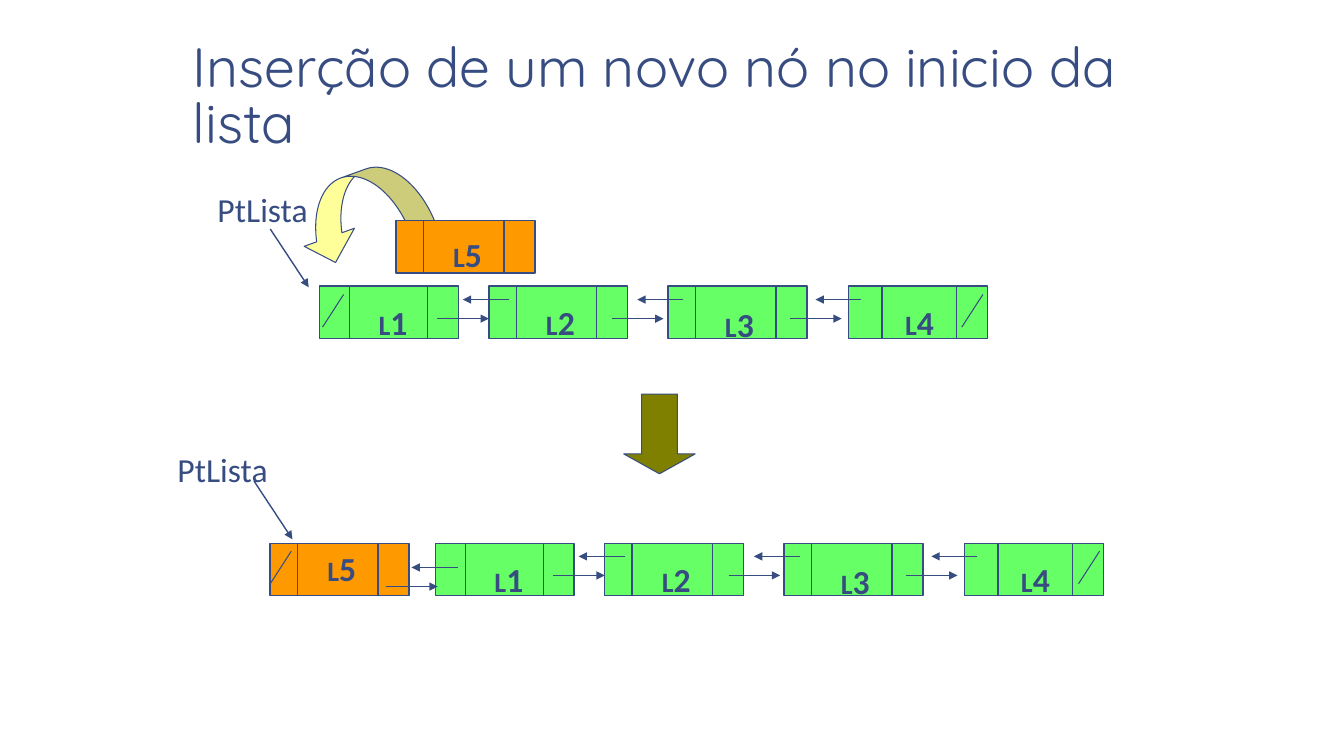
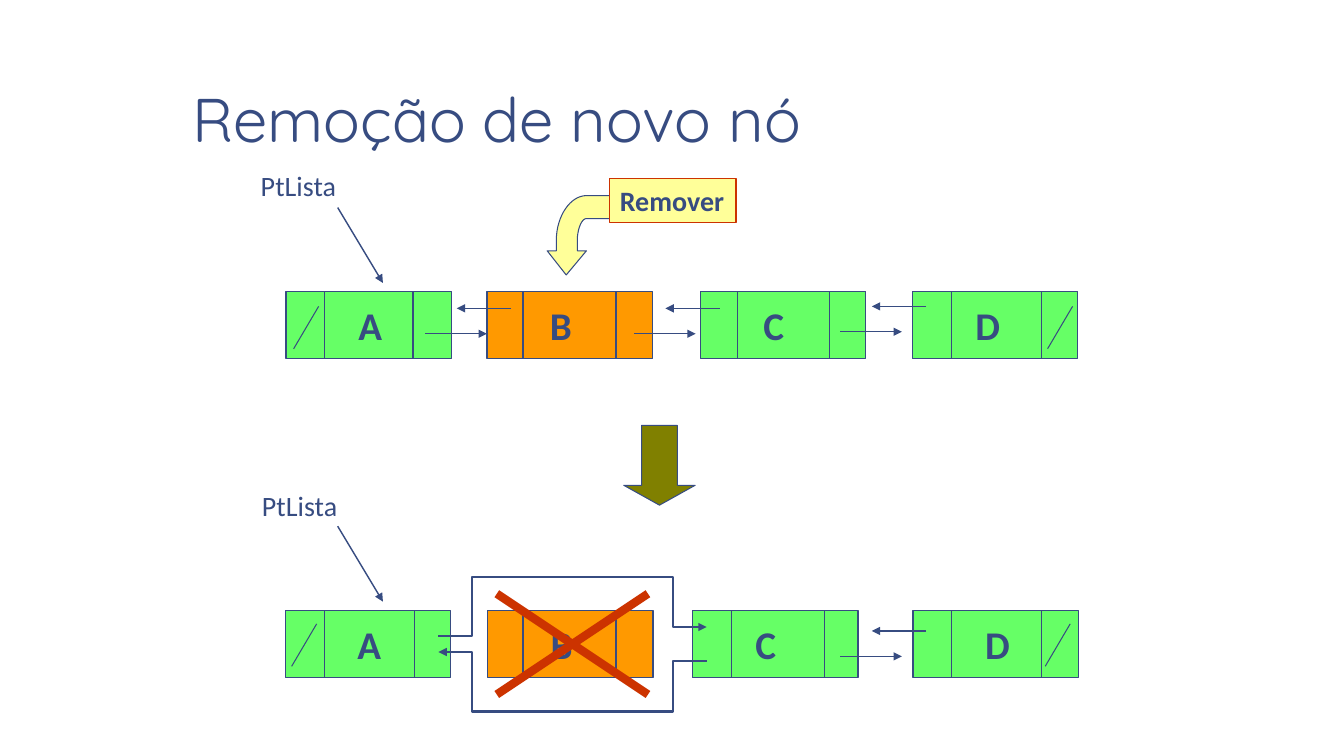
"""Draw two slides on inserting and removing nodes in a doubly linked list."""
from dataclasses import dataclass
from typing import Any, NamedTuple

from lxml import etree
from pptx import Presentation
from pptx.dml.color import RGBColor
from pptx.enum.shapes import MSO_CONNECTOR, MSO_SHAPE
from pptx.enum.text import MSO_ANCHOR, MSO_AUTO_SIZE
from pptx.oxml.ns import qn
from pptx.slide import Slide
from pptx.util import Cm, Pt

RECT = MSO_SHAPE.RECTANGLE
DOWN_ARROW = MSO_SHAPE.DOWN_ARROW
CURVED_ARROW = MSO_SHAPE.CURVED_LEFT_ARROW
STRAIGHT = MSO_CONNECTOR.STRAIGHT
TOP, MIDDLE, BOTTOM = MSO_ANCHOR.TOP, MSO_ANCHOR.MIDDLE, MSO_ANCHOR.BOTTOM
GROW = MSO_AUTO_SIZE.SHAPE_TO_FIT_TEXT

Point = tuple[float, float]


@dataclass(frozen=True)
class Theme:
    ink: RGBColor = RGBColor(0x37, 0x4C, 0x81)
    node: RGBColor = RGBColor(0x66, 0xFF, 0x66)
    changed: RGBColor = RGBColor(0xFF, 0x99, 0x00)
    step: RGBColor = RGBColor(0x80, 0x80, 0x00)
    note: RGBColor = RGBColor(0xFF, 0xFF, 0x99)
    alert: RGBColor = RGBColor(0xCC, 0x33, 0x00)
    title_font: str = "Quicksand"
    body_font: str = "Calibri"
    letter: float = 20
    digit: float = 24
    node_label: float = 28
    remark: float = 20
    thin: float = 0.75
    line: float = 1
    bypass: float = 1.5
    cross: float = 6


T = Theme()


class Run(NamedTuple):
    text: str
    size: float
    bold: bool = False
    font: str = T.body_font


class Scale(NamedTuple):
    w: float
    h: float
    next_len: float
    prev_from: float
    prev_to: float
    rise: float
    slash_w: float
    slash_h: float
    pointer_w: float
    pointer_h: float
    pointer_label: Point
    pointer_size: float


class Node(NamedTuple):
    x: float
    y: float
    label: str
    left: float
    right: float
    dx: float
    dy: float = 0
    fill: RGBColor = T.node


SMALL = Scale(3.5, 1.32, 1.3, 1.8, 0.64, 0.48, 0.53, 0.82, 0.97, 1.47, (2.82, 1.3), 24)
LARGE = Scale(4.17, 1.69, 1.55, 2.16, 0.79, 0.64, 0.63, 1.07, 1.14, 1.9, (2.44, 1.12), 20)


def add_arrowhead(s: Any, end: str) -> None:
    etree.SubElement(s.element.spPr.find(qn("a:ln")), qn(f"a:{end}"), type="triangle")


def add_line(sl: Slide, start: Point, end: Point, width: float = T.line,
             color: RGBColor = T.ink, arrow: bool = False) -> None:
    s = sl.shapes.add_connector(STRAIGHT, *(Cm(v) for v in (*start, *end)))
    s.line.color.rgb = color
    s.line.width = Pt(width)
    if arrow:
        add_arrowhead(s, "tailEnd")
    etree.SubElement(s.element.spPr, qn("a:effectLst"))


def paint(s: Any, fill: RGBColor | None, line: RGBColor = T.ink, width: float = T.thin) -> None:
    s.shadow.inherit = False
    if fill is None:
        s.fill.background()
    else:
        s.fill.solid()
        s.fill.fore_color.rgb = fill
    s.line.color.rgb = line
    s.line.width = Pt(width)


def add_shape(sl: Slide, kind: Any, box: tuple[float, float, float, float], fill: RGBColor,
              line: RGBColor = T.ink, width: float = T.thin) -> Any:
    s = sl.shapes.add_shape(kind, *(Cm(v) for v in box))
    paint(s, fill, line, width)
    return s


def write(s: Any, runs: list[Run], **fmt: Any) -> None:
    tf = s.text_frame
    for name, value in fmt.items():
        setattr(tf, name, value)
    p = tf.paragraphs[0]
    p.alignment = 1
    for run in runs:
        r = p.add_run()
        r.text = run.text
        r.font.color.rgb = T.ink
        values = {"size": Pt(run.size), "bold": run.bold, "name": run.font}
        for name, value in values.items():
            setattr(r.font, name, value)


def add_text(sl: Slide, box: tuple[float, float, float, float], runs: list[Run], **fmt: Any) -> Any:
    s = sl.shapes.add_textbox(*(Cm(v) for v in box))
    write(s, runs, **fmt)
    return s


def add_title(sl: Slide, text: str, size: float) -> None:
    side, edge = Cm(0.33), Cm(0.18)
    s = add_text(sl, (4.52, 0.2, 25, 3.89), [Run(text, size, font=T.title_font)],
                 word_wrap=True, vertical_anchor=BOTTOM, margin_left=side,
                 margin_right=side, margin_top=edge, margin_bottom=edge)
    s.text_frame.paragraphs[0].line_spacing = 0.85


def add_node(sl: Slide, n: Node, sc: Scale) -> None:
    s = add_shape(sl, RECT, (n.x, n.y, sc.w, sc.h), n.fill, width=T.line)
    for x in (n.x + n.left, n.x + n.right):
        add_line(sl, (x, n.y), (x, n.y + sc.h))
    if len(n.label) == 1:
        write(s, [Run(n.label, T.node_label, True)], word_wrap=True,
              vertical_anchor=MIDDLE, margin_left=Cm(n.dx))
    else:
        runs = [Run(n.label[0], T.letter, True), Run(n.label[1:], T.digit, True)]
        add_text(sl, (n.x + n.dx, n.y + n.dy, 1.24, 1.27), runs,
                 word_wrap=False, vertical_anchor=TOP, auto_size=GROW)


def add_link(sl: Slide, x: float, y: float, sc: Scale) -> None:
    add_line(sl, (x, y), (x + sc.next_len, y), arrow=True)
    back = y - sc.rise
    add_line(sl, (x + sc.prev_from, back), (x + sc.prev_to, back), arrow=True)


def add_list(sl: Slide, sc: Scale, nodes: list[Node], links: list[Point],
             slashes: list[Point]) -> None:
    for n in nodes:
        add_node(sl, n, sc)
    for x, y in links:
        add_link(sl, x, y, sc)
    for x, y in slashes:
        add_line(sl, (x, y), (x - sc.slash_w, y + sc.slash_h), T.thin)


def add_pointer(sl: Slide, label: Point, start: Point, sc: Scale) -> None:
    add_text(sl, (*label, *sc.pointer_label), [Run("PtLista", sc.pointer_size)],
             word_wrap=False, vertical_anchor=MIDDLE, auto_size=GROW)
    add_line(sl, start, (start[0] + sc.pointer_w, start[1] + sc.pointer_h), arrow=True)


def add_step(sl: Slide, y: float) -> None:
    s = add_shape(sl, DOWN_ARROW, (15.72, y, 1.8, 2.01), T.step)
    s.adjustments[0], s.adjustments[1] = 0.5, 0.278


def add_path(sl: Slide, points: list[Point], fill: RGBColor | None, width: float) -> Any:
    (x, y), *rest = points
    fb = sl.shapes.build_freeform(Cm(x), Cm(y))
    fb.add_line_segments([(Cm(a), Cm(b)) for a, b in rest], close=fill is not None)
    s = fb.convert_to_shape()
    paint(s, fill, width=width)
    return s


def curve(a: Point, b: Point, c: Point, d: Point, steps: int = 16) -> list[Point]:
    def at(t: float, i: int) -> float:
        u = 1 - t
        return u**3 * a[i] + 3 * u * u * t * b[i] + 3 * u * t * t * c[i] + t**3 * d[i]
    return [(at(k / steps, 0), at(k / steps, 1)) for k in range(steps + 1)]


def draw_insertion(sl: Slide) -> None:
    add_title(sl, "Inserção de um novo nó no inicio da lista", 39.6)
    add_pointer(sl, (5.23, 4.62), (6.81, 5.77), SMALL)
    add_pointer(sl, (4.22, 11.18), (6.4, 12.12), SMALL)
    s = add_shape(sl, CURVED_ARROW, (8.1, 3.66, 1.96, 3.38), T.note)
    s.rotation = 250.2
    s.element.spPr.xfrm.set("flipV", "1")
    for i, value in enumerate((0.344, 0.687, 0.333)):
        s.adjustments[i] = value
    add_node(sl, Node(9.98, 5.56, "L5", 0.69, 2.72, 1.19, 0.2, T.changed), SMALL)
    parts = [("L1", 0.76, 1.24, 0.28), ("L2", 0.69, 1.19, 0.28),
             ("L3", 0.69, 1.18, 0.33), ("L4", 0.84, 1.17, 0.28)]
    rows = [(7.21, (8.05, 12.32, 16.84, 21.39)), (13.69, (10.97, 15.24, 19.76, 24.31))]
    before, after = ([Node(x, y, label, left, 2.72, dx, dy)
                      for x, (label, left, dx, dy) in zip(xs, parts)] for y, xs in rows)
    add_list(sl, SMALL, before, [(11.02, 8.03), (15.42, 8.03), (19.91, 8.03)],
             [(8.66, 7.42), (24.77, 7.42)])
    add_step(sl, 9.93)
    first = Node(6.81, 13.69, "L5", 0.69, 2.72, 1.19, 0, T.changed)
    add_list(sl, SMALL, [first, *after],
             [(9.73, 14.78), (13.94, 14.5), (18.36, 14.5), (22.83, 14.5)],
             [(7.34, 13.89), (27.71, 13.89)])


def draw_removal(sl: Slide) -> None:
    add_title(sl, "Remoção de novo nó", 44)
    add_pointer(sl, (6.32, 4.11), (8.51, 5.23), LARGE)
    add_pointer(sl, (6.35, 12.17), (8.51, 13.26), LARGE)
    y = 7.34
    add_list(sl, LARGE, [Node(7.21, y, "A", 0.97, 3.2, 1.82),
                         Node(12.27, y, "B", 0.91, 3.25, 1.59, fill=T.changed),
                         Node(17.65, y, "C", 0.94, 3.25, 1.59),
                         Node(22.99, y, "D", 0.99, 3.25, 1.59)],
             [(10.72, 8.41), (15.98, 8.41), (21.18, 8.36)], [(8.03, 7.72), (27.03, 7.72)])
    add_step(sl, 10.72)
    y = 15.39
    add_list(sl, LARGE, [Node(7.19, y, "A", 0.99, 3.25, 1.82),
                         Node(12.29, y, "B", 0.89, 3.23, 1.59, fill=T.changed),
                         Node(17.45, y, "C", 0.99, 3.33, 1.59),
                         Node(23.01, y, "D", 0.97, 3.23, 1.82)],
             [(21.18, 16.54)], [(7.98, 15.72), (26.97, 15.72)])
    upper = [(11.05, 16.03), (11.89, 16.03), (11.89, 14.53),
             (16.97, 14.53), (16.97, 15.8), (17.81, 15.8)]
    lower = [(x, 32.46 - y) for x, y in upper]
    for points, end in ((upper, "tailEnd"), (lower, "headEnd")):
        add_arrowhead(add_path(sl, points, None, T.bypass), end)
    for start, end in ((17.5, 14.96), (14.96, 17.5)):
        add_line(sl, (12.52, start), (16.33, end), T.cross, T.alert)
    add_line(sl, (16.38, 6.5), (16.38, 6.5), T.thin, arrow=True)
    bent = [(14.27, 6.93), (13.79, 6.32), (14.02, 6.32),
            *curve((14.02, 6.07), (14.02, 5.44), (14.38, 4.93), (14.78, 4.93)),
            (15.57, 4.93), (15.57, 5.51),
            *curve((14.78, 5.51), (14.66, 5.51), (14.55, 5.77), (14.55, 6.07)),
            (14.55, 6.32), (14.78, 6.32)]
    add_path(sl, bent, T.note, T.thin)
    s = add_shape(sl, RECT, (15.37, 4.5, 3.18, 1.12), T.note, T.alert)
    write(s, [Run("Remover", T.remark, True)], word_wrap=True,
          vertical_anchor=TOP, auto_size=GROW)


def main() -> None:
    prs = Presentation()
    prs.slide_width, prs.slide_height = Cm(33.87), Cm(19.05)
    for draw in (draw_insertion, draw_removal):
        draw(prs.slides.add_slide(prs.slide_layouts[6]))
    prs.save("out.pptx")


if __name__ == "__main__":
    main()
